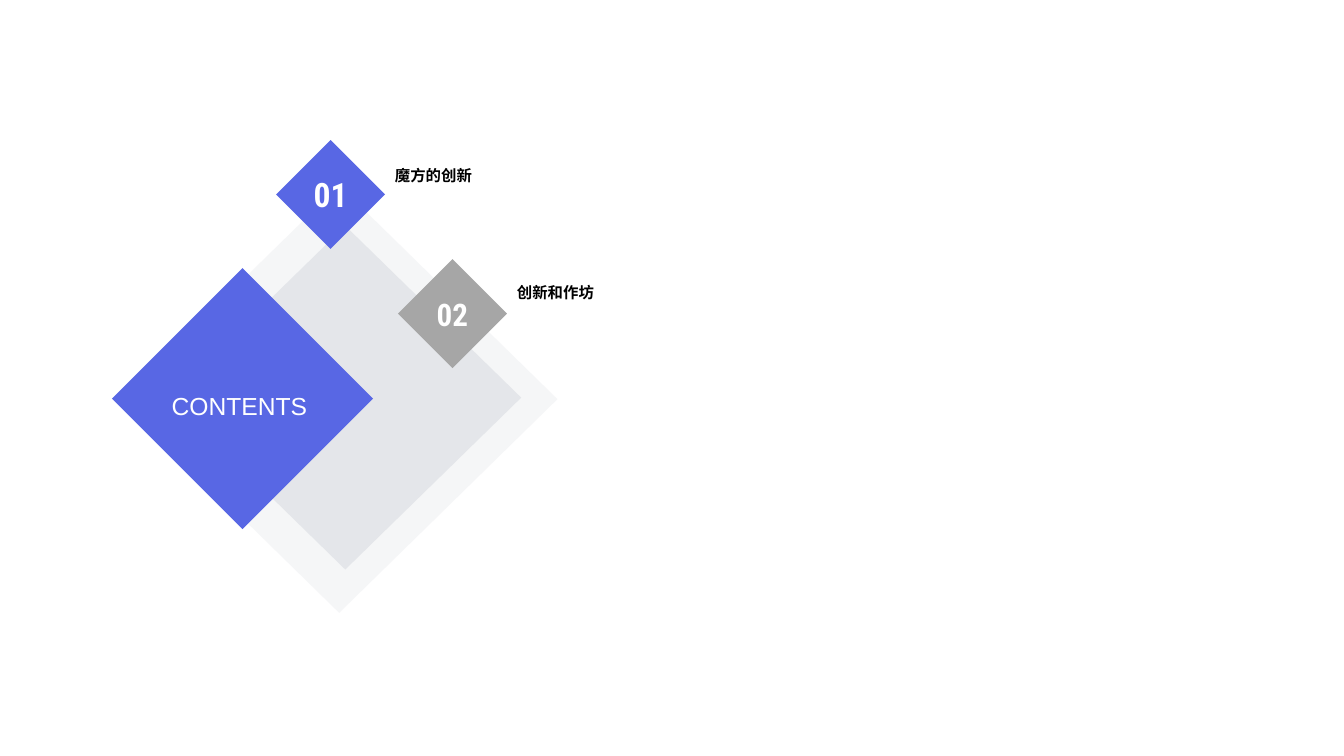
from lxml import etree
from pptx import Presentation
from pptx.dml.color import RGBColor
from pptx.enum.shapes import MSO_SHAPE
from pptx.enum.text import MSO_ANCHOR, MSO_AUTO_SIZE, PP_ALIGN
from pptx.oxml.ns import qn
from pptx.util import Pt

DIAMOND = MSO_SHAPE.DIAMOND
TOP, MIDDLE, BOTTOM = MSO_ANCHOR.TOP, MSO_ANCHOR.MIDDLE, MSO_ANCHOR.BOTTOM
LEFT, CENTER = PP_ALIGN.LEFT, PP_ALIGN.CENTER
TITLE_ONLY = 5

COLORS = {
    "blue": "5867E4",
    "gray": "A6A6A6",
    "pale": "E4E6EA",
    "white": "FFFFFF",
    "black": "000000",
}


class ContentsSlide:
    body_font = "Arial"
    number_font = "Roboto Condensed"

    def __init__(self, prs):
        self.s = prs.slides.add_slide(prs.slide_layouts[TITLE_ONLY])

    def set_text(self, sp, text, size, color, font, bold, align, anchor, wrap=True):
        tf = sp.text_frame
        tf.text = text
        tf.word_wrap = wrap
        tf.auto_size = MSO_AUTO_SIZE.NONE
        tf.vertical_anchor = anchor
        p = tf.paragraphs[0]
        p.alignment = align
        p.font.name = font
        p.font.size = Pt(size)
        p.font.bold = bold
        p.font.color.rgb = RGBColor.from_string(COLORS[color])

    def diamond(self, x, y, w, h, color, opacity=100):
        sp = self.s.shapes.add_shape(DIAMOND, Pt(x), Pt(y), Pt(w), Pt(h))
        sp.shadow.inherit = False
        sp.fill.solid()
        sp.fill.fore_color.rgb = RGBColor.from_string(COLORS[color])
        sp.line.fill.background()
        if opacity < 100:
            clr = sp.element.spPr.find(qn("a:solidFill"))[0]
            etree.SubElement(clr, qn("a:alpha"), val=str(opacity * 1000))
        return sp

    def title(self, x, y, w, h, text):
        sp = self.s.shapes.title
        sp.left, sp.top, sp.width, sp.height = Pt(x), Pt(y), Pt(w), Pt(h)
        self.set_text(sp, text, 17.6, "white", self.body_font, False, CENTER, TOP)
        # Bring the title in front of its diamond
        self.s.shapes.element.append(sp.element)

    def entry(self, x, y, number, size, color, label, label_y):
        side = 77.8
        sp = self.diamond(x, y, side, side, color)
        tf = sp.text_frame
        tf.margin_left = tf.margin_right = tf.margin_top = tf.margin_bottom = 0
        self.set_text(sp, number, size, "white", self.number_font, True,
                      CENTER, MIDDLE, wrap=False)
        box = self.s.shapes.add_textbox(Pt(x + side), Pt(label_y), Pt(267), Pt(23))
        self.set_text(box, label, 11, "black", self.body_font, True, LEFT, BOTTOM)


def main():
    prs = Presentation()
    prs.slide_width, prs.slide_height = Pt(960), Pt(540)
    slide = ContentsSlide(prs)

    # Pale background diamonds
    slide.diamond(86.4, 132.5, 311.8, 305.3, "pale", opacity=35)
    slide.diamond(121, 161.3, 251.3, 245.5, "pale")

    # Title diamond
    slide.diamond(80, 191.5, 186.5, 186.5, "blue")
    slide.title(110.2, 275.8, 121.7, 29.5, "CONTENTS")

    # Numbered entries
    slide.entry(197.2, 100, "01", 24, "blue", "魔方的创新", 112.3)
    slide.entry(284.3, 185.1, "02", 22.2, "gray", "创新和作坊", 195.9)

    prs.save("out.pptx")


if __name__ == "__main__":
    main()
